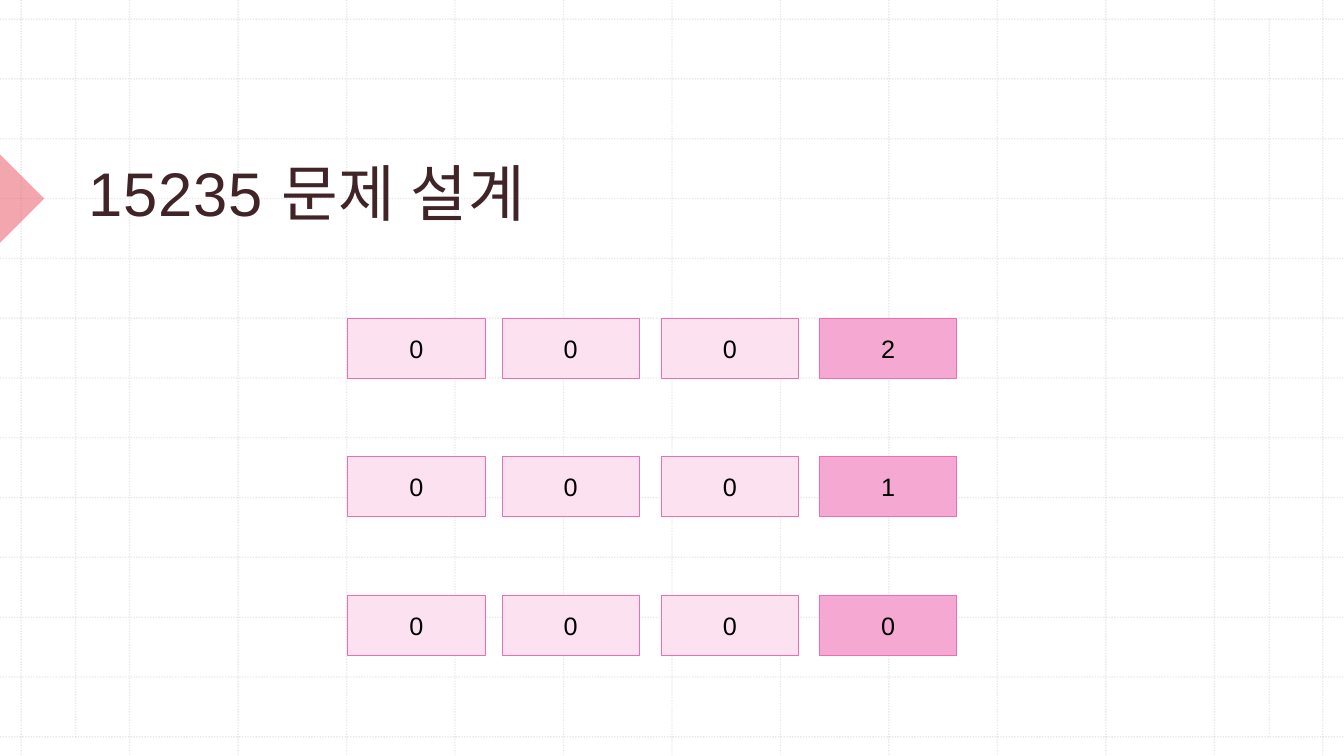
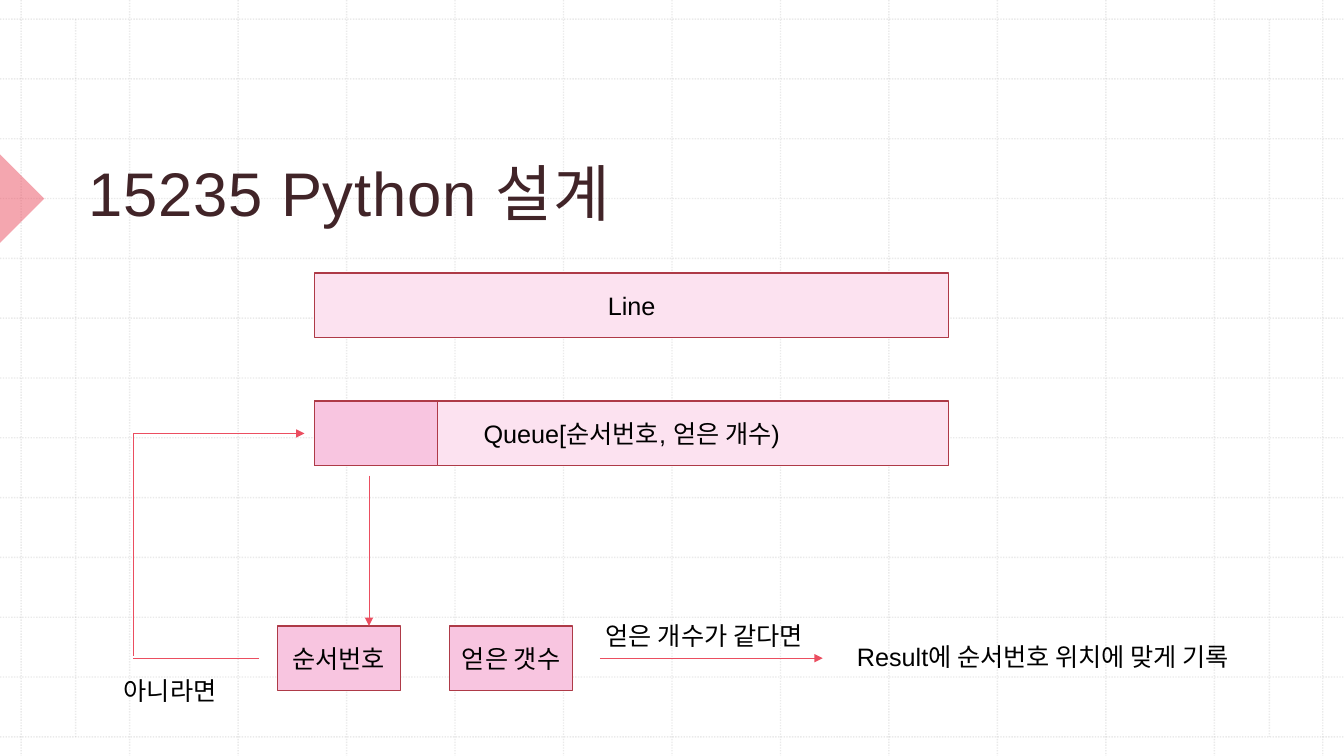
from lxml.etree import SubElement
from pptx import Presentation
from pptx.dml.color import RGBColor as RGB
from pptx.enum.dml import MSO_LINE
from pptx.enum.shapes import MSO_CONNECTOR as CONN, MSO_SHAPE as SHAPE
from pptx.enum.text import MSO_ANCHOR as ANCHOR, PP_ALIGN as ALIGN
from pptx.oxml.ns import qn
from pptx.util import Inches, Pt

C = {"bg": "FFFFFF", "grid": "BCBCBC", "accent": "EB4E60", "title": "412428",
     "text": "000000", "pale": "FCE2F0", "mid": "F8C5E0", "strong": "F5A8D1",
     "pink_line": "EE6EB2", "red_line": "AE3A47"}
FONT = "Arial"
W, H = 13.33, 7.5


def add_line(s, x1, y1, x2, y2, color="accent", width=0.5, arrow=False):
    ln = s.shapes.add_connector(CONN.STRAIGHT, Inches(x1), Inches(y1), Inches(x2), Inches(y2))
    ln.line.color.rgb = RGB.from_string(C[color])
    ln.line.width = Pt(width)
    if arrow:
        SubElement(ln.line._get_or_add_ln(), qn("a:tailEnd"), type="triangle")
    SubElement(ln._element.spPr, qn("a:effectLst"))
    return ln


def add_box(s, kind, x, y, w, h, fill, line, width, text=""):
    sp = s.shapes.add_shape(kind, Inches(x), Inches(y), Inches(w), Inches(h))
    sp.shadow.inherit = False
    sp.fill.solid()
    sp.fill.fore_color.rgb = RGB.from_string(C[fill])
    sp.line.color.rgb = RGB.from_string(C[line])
    sp.line.width = Pt(width)
    if text:
        tf = sp.text_frame
        tf.vertical_anchor = ANCHOR.MIDDLE
        p = tf.paragraphs[0]
        p.text = text
        p.alignment = ALIGN.CENTER
        p.font.name, p.font.size = FONT, Pt(18)
        p.font.color.rgb = RGB.from_string(C["text"])
    return sp


prs = Presentation()
prs.slide_width, prs.slide_height = Inches(W), Inches(H)

left, right, top, bottom, cells = 0.21, 13.12, 0.19, 7.31, 12
grid = [(0.75, top, 0.75, bottom), (12.59, top, 12.59, bottom)]
for i in range(cells + 1):
    x = left + (right - left) * i / cells
    y = top + (bottom - top) * i / cells
    grid += [(x, 0, x, H), (0, y, W, y)]

slides = []
for title in ["15235 문제 설계", "15235 Python 설계"]:
    s = prs.slides.add_slide(prs.slide_layouts[6])
    slides.append(s)
    s.background.fill.solid()
    s.background.fill.fore_color.rgb = RGB.from_string(C["bg"])
    for ends in grid:
        ln = add_line(s, *ends, color="grid", width=1)
        ln.line.dash_style = MSO_LINE.ROUND_DOT
        SubElement(ln._element.spPr.find(".//" + qn("a:srgbClr")), qn("a:alpha"), val="30000")

    marker = add_box(s, SHAPE.RIGHT_TRIANGLE, -0.31, 1.66, 0.62, 0.62, "accent", "accent", 1)
    marker.rotation = 225
    marker.line.fill.background()
    SubElement(marker._element.spPr.find(".//" + qn("a:srgbClr")), qn("a:alpha"), val="50000")

    tf = s.shapes.add_textbox(Inches(0.76), Inches(0.79), Inches(11.29), Inches(1.58)).text_frame
    tf.word_wrap = True
    tf.vertical_anchor = ANCHOR.BOTTOM
    tf.margin_left = tf.margin_right = tf.margin_top = Inches(0.12)
    tf.margin_bottom = Inches(0.1)
    p = tf.paragraphs[0]
    p.line_spacing = 1.14
    p.font.name, p.font.size = FONT, Pt(44)
    p.font.color.rgb = RGB.from_string(C["title"])
    r = p.add_run()
    r.text = title
    r.font._element.set("spc", "50")

design, queue = slides

for y, last in [(3.16, "2"), (4.53, "1"), (5.91, "0")]:
    for x, value in zip([3.45, 4.98, 6.56, 8.13], ["0", "0", "0", last]):
        fill = "strong" if x == 8.13 else "pale"
        add_box(design, SHAPE.RECTANGLE, x, y, 1.36, 0.59, fill, "pink_line", 0.5, value)

for x, y, w, fill, text in [
    (3.12, 2.71, 6.29, "pale", "Line"),
    (3.12, 3.98, 6.29, "pale", "Queue[순서번호, 얻은 개수)"),
    (3.12, 3.98, 1.22, "mid", ""),
    (2.75, 6.21, 1.22, "mid", "순서번호"),
    (4.46, 6.21, 1.22, "mid", "얻은 갯수"),
]:
    add_box(queue, SHAPE.FLOWCHART_PROCESS, x, y, w, 0.64, fill, "red_line", 1, text)

for x1, y1, x2, y2, arrow in [
    (3.66, 4.72, 3.66, 6.21, True),
    (5.95, 6.53, 8.16, 6.53, True),
    (2.57, 6.53, 1.32, 6.53, False),
    (1.32, 4.3, 1.32, 6.51, False),
    (1.32, 4.3, 3.02, 4.3, True),
]:
    add_line(queue, x1, y1, x2, y2, arrow=arrow)

for x, y, w, text in [
    (8.4, 6.31, 4.71, "Result에 순서번호 위치에 맞게 기록"),
    (5.91, 6.11, 2.25, "얻은 개수가 같다면"),
    (1.13, 6.65, 1.36, "아니라면"),
]:
    tf = queue.shapes.add_textbox(Inches(x), Inches(y), Inches(w), Inches(0.4)).text_frame
    tf.word_wrap = True
    p = tf.paragraphs[0]
    p.text = text
    p.font.name, p.font.size = FONT, Pt(18)
    p.font.color.rgb = RGB.from_string(C["text"])

prs.save("out.pptx")
